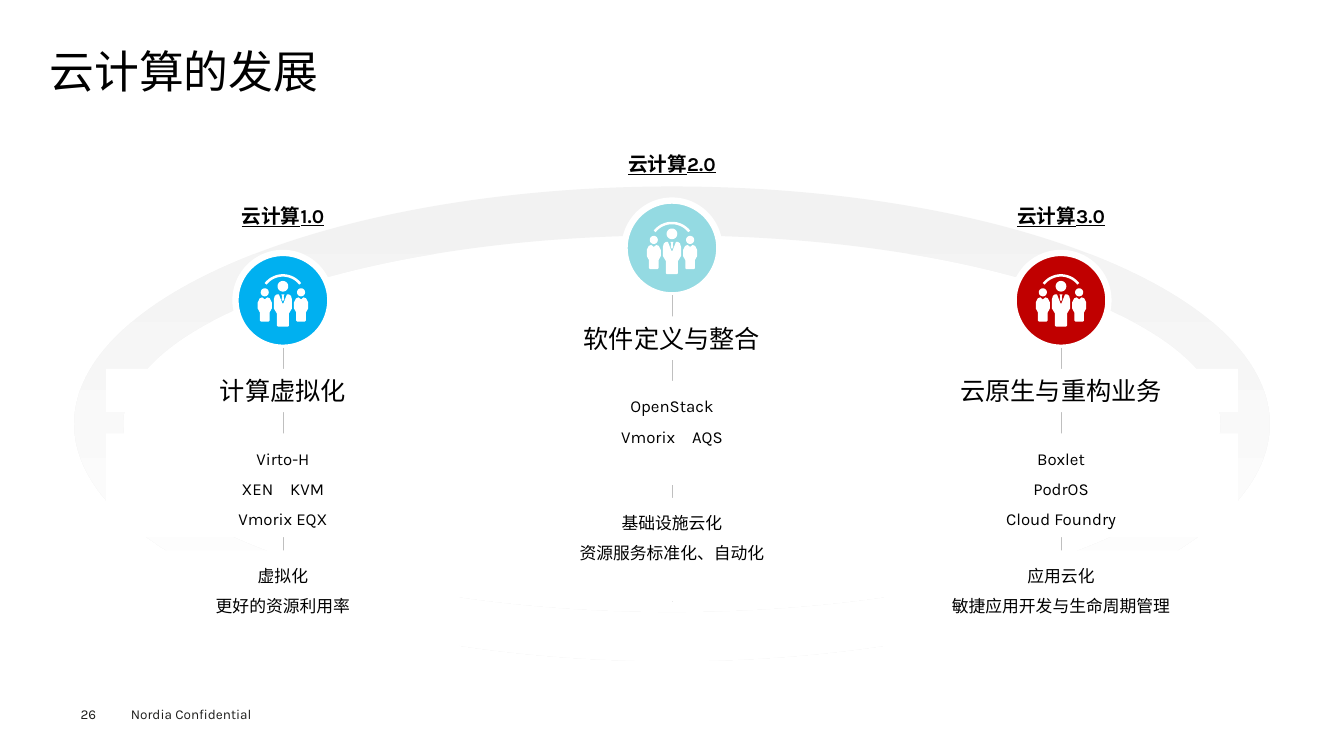
import math

from lxml import etree
from pptx import Presentation
from pptx import util as u
from pptx.dml.color import RGBColor
from pptx.enum import shapes as sh, text as tx
from pptx.oxml.ns import qn

WIDE, HIGH = u.Inches(13.33), u.Inches(7.5)
COL, ROW = WIDE / 38, HIGH / 75
FONT = "Karla"
BLACK = RGBColor(0, 0, 0)
INK = RGBColor(0x1D, 0x1D, 0x1B)
WHITE = RGBColor(255, 255, 255)
PALE = RGBColor(0xF2, 0xF2, 0xF2)
GREY = RGBColor(0xBF, 0xBF, 0xBF)
BLUE = RGBColor(0x00, 0xB0, 0xF0)
TEAL = RGBColor(0x94, 0xDA, 0xE2)
RED = RGBColor(0xC0, 0, 0)
DISC = 9.4  # rows

# middle column, top row of the disc, colour, label, name, products, results
ERAS = [
    (19, 19.9, TEAL, "云计算2.0", "软件定义与整合",
     ["OpenStack", "Vmorix　AQS"],
     ["基础设施云化", "资源服务标准化、自动化"]),
    (8, 25.1, BLUE, "云计算1.0", "计算虚拟化",
     ["Virto-H", "XEN　KVM", "Vmorix EQX"],
     ["虚拟化", "更好的资源利用率"]),
    (30, 25.1, RED, "云计算3.0", "云原生与重构业务",
     ["Boxlet", "PodrOS", "Cloud Foundry"],
     ["应用云化", "敏捷应用开发与生命周期管理"]),
]


def place(col, row, cols, rows):
    return [round(v) for v in (col * COL, row * ROW, cols * COL, rows * ROW)]


def write(shape, lines, size, color=BLACK, align=tx.PP_ALIGN.LEFT,
          space=1.0, bold=False, anchor=tx.MSO_ANCHOR.TOP):
    frame = shape.text_frame
    frame.text = "\n".join(lines)
    frame.vertical_anchor = anchor
    for para in frame.paragraphs:
        para.alignment, para.line_spacing = align, space
        for run in para.runs:
            run.font.name, run.font.size = FONT, u.Pt(size)
            run.font.color.rgb = color
            run.font.bold = run.font.underline = bold
    return frame


def label(slide, area, words, size, color=BLACK, pad=0, **style):
    box = slide.shapes.add_textbox(*area)
    frame = write(box, [words], size, color, **style)
    frame.word_wrap = False
    frame.margin_left = frame.margin_right = u.Inches(pad)
    frame.margin_top = frame.margin_bottom = u.Inches(pad / 2)


def solid(slide, kind, area, color):
    shape = slide.shapes.add_shape(kind, *area)
    shape.shadow.inherit = False
    shape.fill.solid()
    shape.fill.fore_color.rgb = color
    shape.line.fill.background()
    return shape


def panel(slide, mid, row, rows, lines, size, **style):
    """White box, ten columns wide, that hides the axis behind its text."""
    box = solid(slide, sh.MSO_SHAPE.RECTANGLE, place(mid - 5, row, 10, rows), WHITE)
    frame = write(box, lines, size, align=tx.PP_ALIGN.CENTER, **style)
    frame.word_wrap = True


def arch(slide):
    ring = solid(slide, sh.MSO_SHAPE.DONUT, place(2.1, 18.5, 33.8, 47.1), PALE)
    ring.adjustments[0] = 0.103
    ring.fill.gradient()
    ring.fill.gradient_angle = 270
    for stop, color in zip(ring.fill.gradient_stops, (PALE, WHITE)):
        stop.color.rgb = color


def curve(mid, rad, start, end, steps=12):
    """Points in rows right of the axis; angles run clockwise from the top."""
    turns = [math.radians(start + (end - start) * i / steps) for i in range(steps + 1)]
    return [(rad * math.sin(t), mid - rad * math.cos(t)) for t in turns]


def people(slide, mid, top):
    """White icon of three people; each part is a right half and its mirror."""
    coat = [(0.05, 2.9), (0.4, 2), (0.6, 2), (0.8, 2.15), (0.9, 2.5),
            (0.9, 3.4), (0.6, 3.9), (0.6, 5.1), (0.5, 5.2)]
    tie = [(0.15, 2), (0.08, 2.2), (0.12, 2.5), (0, 2.7)]
    side = [(0, 2.5), (0.25, 2.3), (0.5, 2.4), (0.7, 2.8), (0.7, 3.4),
            (0.48, 3.8), (0.48, 4.6), (0.38, 4.7)]
    head = curve(1.8, 0.4, 0, 180)
    parts = [(0, coat), (0, tie), (0, curve(1.2, 0.53, 0, 180)),
             (0, curve(2.3, 2.3, 0, 52) + curve(2.3, 2.05, 52, 0))]
    parts += [(shift, half) for shift in (-1.8, 1.8) for half in (side, head)]
    pen = None
    for shift, half in parts:
        loop = half + [(-x, y) for x, y in reversed(half)]
        dots = [(mid * COL + (x + shift) * ROW, (top + y) * ROW) for x, y in loop]
        if pen is None:
            pen = slide.shapes.build_freeform(*dots[0])
        else:
            pen.move_to(*dots[0])
        pen.add_line_segments(dots[1:], close=True)
    icon = pen.convert_to_shape()
    icon.shadow.inherit = False
    icon.fill.solid()
    icon.fill.fore_color.rgb = WHITE
    icon.line.fill.background()


def axis(slide, mid, top, end):
    x = round(mid * COL)
    line = slide.shapes.add_connector(
        sh.MSO_CONNECTOR.STRAIGHT, x, round(top * ROW), x, round(end * ROW))
    line.line.color.rgb = GREY
    line.line.width = u.Pt(0.25)
    etree.SubElement(line._element.spPr, qn("a:effectLst"))


def era(slide, mid, top, color, head, name, goods, gains):
    wide = DISC * ROW / COL
    disc = solid(slide, sh.MSO_SHAPE.OVAL,
                 place(mid - wide / 2, top, wide, DISC), color)
    disc.line.color.rgb = WHITE
    disc.line.width = u.Pt(4.5)
    people(slide, mid, top + 2.1)
    label(slide, place(mid - 1.7, top - 5.9, 3.4, 4.4), head, 14, pad=0.1,
          align=tx.PP_ALIGN.CENTER, bold=True, anchor=tx.MSO_ANCHOR.MIDDLE)
    axis(slide, mid, top + DISC, top + 39.8)
    panel(slide, mid, top + 17.9, 10.3, goods, 12, space=1.5)
    panel(slide, mid, top + 11.5, 4.3, [name], 18, anchor=tx.MSO_ANCHOR.MIDDLE)
    panel(slide, mid, top + 29.5, 10.3, gains, 12, space=1.5)


def main():
    deck = Presentation()
    deck.slide_width, deck.slide_height = WIDE, HIGH
    slide = deck.slides.add_slide(deck.slide_layouts[6])
    label(slide, place(3.42, 69.5, 4.6, 2.7), "Nordia Confidential", 9.7, INK, pad=0.1)
    label(slide, place(2.28, 70, 1.5, 1.6), "26", 9.7, INK)
    label(slide, place(1.4, 4.9, 35.2, 5.4), "云计算的发展", 32, space=0.9)
    arch(slide)
    for item in ERAS:
        era(slide, *item)
    deck.save("out.pptx")


if __name__ == "__main__":
    main()
